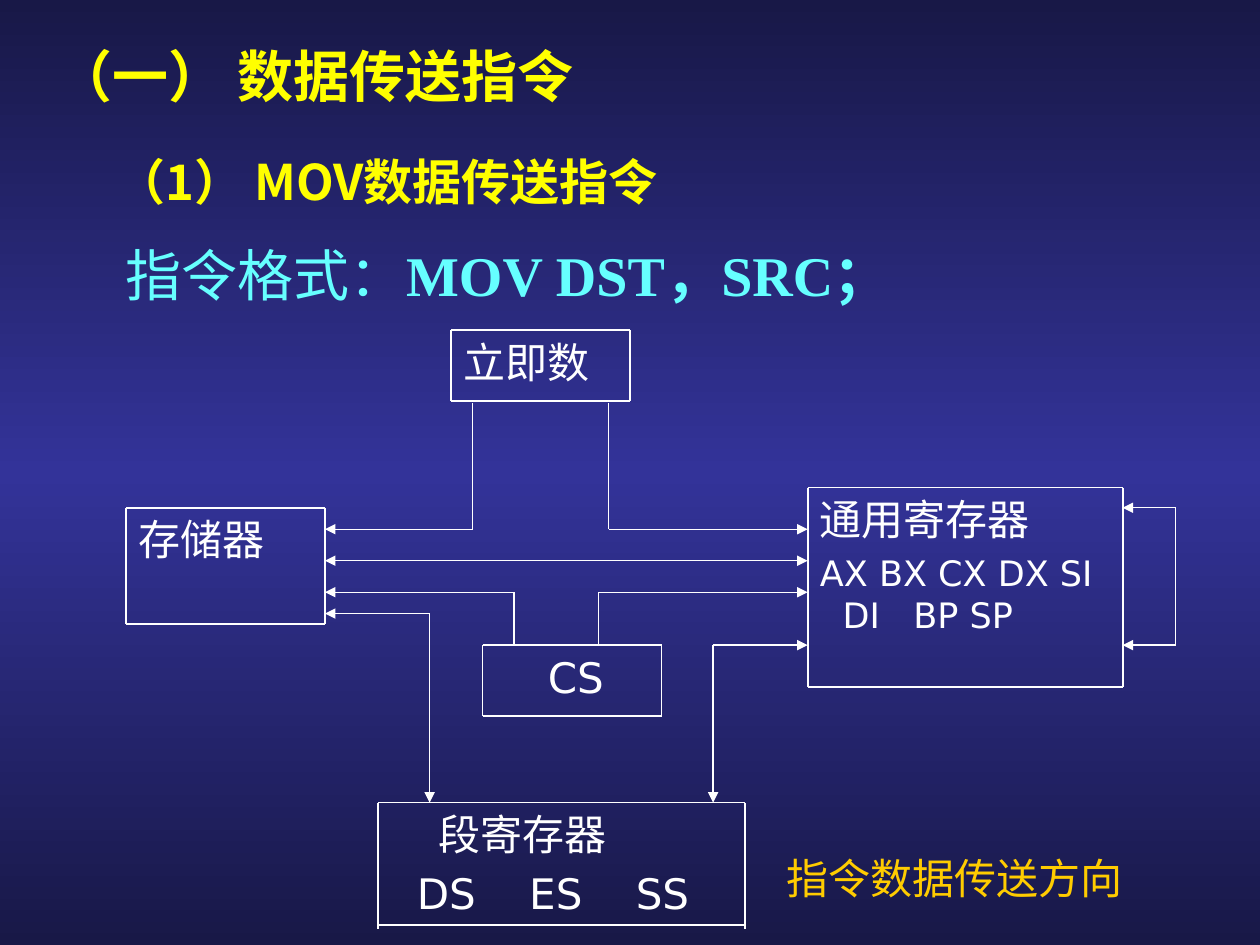
"""Build a slide on the data paths of the MOV instruction."""
from copy import deepcopy

from lxml import etree
from pptx import Presentation
from pptx.dml.color import RGBColor
from pptx.enum import shapes, text
from pptx.oxml import ns
from pptx.util import Inches, Pt

NAVY = RGBColor(0x18, 0x18, 0x47)
BLUE = RGBColor(0x33, 0x33, 0x99)
WHITE = RGBColor(255, 255, 255)
YELLOW = RGBColor(255, 255, 0)
CYAN = RGBColor(0x66, 255, 255)
GOLD = RGBColor(255, 0xCC, 0)

WIDE, HIGH = 10, 7.5
SANS, CJK, SERIF = "DejaVu Sans", "Noto Sans CJK JP", "Times New Roman"

HEAD = dict(name=CJK, size=Pt(32), bold=True, color=YELLOW)
SUB = {**HEAD, "size": Pt(28)}
FORM = dict(name=CJK, size=Pt(32), bold=False, color=CYAN)
CODE = {**FORM, "name": SERIF, "bold": True}
BODY = dict(name=SANS, size=Pt(24), bold=False, color=WHITE)
SMALL = {**BODY, "size": Pt(20)}
NOTE = {**BODY, "name": "Lato", "color": GOLD}

# place, runs
LINES = [
    ((0.35, 0.28, 8.25, 0.63), [("（一） 数据传送指令", HEAD)]),
    ((0.83, 1.15, 8.25, 0.57), [("（1） MOV数据传送指令", SUB)]),
    ((0.9, 1.86, 8.74, 0.63), [("指令格式：", FORM), ("MOV DST，SRC；", CODE)]),
]
TITLE = ((6.14, 6.44, 3.27, 0.78), [("指令数据传送方向", NOTE)])

MEM, REG, SEG = 2.58, 6.41, 6.37
# place, overhang of the sides, paragraphs of
# (runs of text and letter gap, format, left margin, first indent)
BOXES = [
    ((3.58, 2.62, 1.42, 0.56), 0, [([("立即数", 0)], BODY, 0, 0)]),
    ((1, 4.03, 1.58, 0.92), 0, [([("存储器", 0)], BODY, 0, 0)]),
    ((REG, 3.87, 2.5, 1.58), 0, [
        ([("通用寄存器", 0)], BODY, 0, 0),
        ([("AX BX CX DX SI\vDI", 0), (" ", 12.7), ("BP SP", 0)],
         SMALL, 0.18, -0.18)]),
    ((3, SEG, 2.91, 0.97), 0.03, [
        ([("段寄存器", 0)], BODY, 0.38, 0),
        ([("DS", 0), (" ", 22.9), ("ES", 0), (" ", 22.9), ("SS", 0)],
         BODY, 0.21, 0)]),
    ((3.83, 5.12, 1.42, 0.56), 0, [([("CS", 0)], BODY, 0.42, 0)]),
]

# points, head at start, head at end
ROUTES = [
    ([(3.75, 3.2), (3.75, 4.2), (MEM, 4.2)], False, True),
    ([(4.83, 3.2), (4.83, 4.2), (REG, 4.2)], False, True),
    ([(MEM, 4.45), (4.83, 4.45), (REG, 4.45)], True, True),
    ([(4.08, 5.12), (4.08, 4.7), (MEM, 4.7)], False, True),
    ([(4.75, 5.12), (4.75, 4.7), (REG, 4.7)], False, True),
    ([(MEM, 4.87), (3.41, 4.87), (3.41, SEG)], True, True),
    ([(REG, 5.12), (5.66, 5.12), (5.66, SEG)], True, True),
    ([(8.91, 4.03), (9.33, 4.03), (9.33, 5.12), (8.91, 5.12)], True, True),
]


def inch(place):
    return [Inches(n) for n in place]


def add(parent, tag, **attrs):
    return etree.SubElement(parent, ns.qn(tag), attrs)


def write(para, words, form, gap=0):
    for i, part in enumerate(words.split("\v")):
        if i:
            para.add_line_break()
        run = para.add_run()
        run.text = part
        run.font.color.rgb = form["color"]
        for key in ("name", "size", "bold"):
            setattr(run.font, key, form[key])
        props = run._r.get_or_add_rPr()
        add(props, "a:ea", typeface=CJK if form is CODE else form["name"])
        if gap:
            props.set("spc", str(round(gap * 100)))


def setup(frame, anchor):
    rules = dict(word_wrap=True, auto_size=text.MSO_AUTO_SIZE.NONE,
                 vertical_anchor=anchor)
    for key, val in rules.items():
        setattr(frame, key, val)
    frame.paragraphs[0].alignment = text.PP_ALIGN.LEFT
    return frame


def draw_line(slide, a, b, width):
    link = slide.shapes.add_connector(
        shapes.MSO_CONNECTOR.STRAIGHT, *inch(a + b))
    link.line.color.rgb = WHITE
    link.line.width = Pt(width)
    add(link._element.spPr, "a:effectLst")
    return link.line._get_or_add_ln()


def draw_box(slide, place, extra, paras):
    x, y, wide, high = place
    box = slide.shapes.add_textbox(*inch(place))
    frame = setup(box.text_frame, text.MSO_ANCHOR.TOP)
    for i, (runs, form, left, first) in enumerate(paras):
        para = frame.add_paragraph() if i else frame.paragraphs[0]
        para.alignment = text.PP_ALIGN.LEFT
        if i:
            para.space_before = Pt(0.2 * form["size"].pt)
        props = para._p.get_or_add_pPr()
        props.set("marL", str(Inches(left)))
        props.set("indent", str(Inches(first)))
        for words, gap in runs:
            write(para, words, form, gap)
    for row in (y, y + high):
        draw_line(slide, (x, row), (x + wide, row), 1)
    for col in (x, x + wide):
        draw_line(slide, (col, y), (col, y + high + extra), 1)


def draw_route(slide, points, start, end):
    last = len(points) - 2
    for i, (a, b) in enumerate(zip(points, points[1:])):
        stroke = draw_line(slide, a, b, 0.75)
        if start and i == 0:
            add(stroke, "a:headEnd", type="triangle")
        if end and i == last:
            add(stroke, "a:tailEnd", type="triangle")


def paint(slide):
    fill = slide.background.fill
    fill.gradient()
    fill.gradient_angle = 90
    first = fill.gradient_stops[0]._gs
    first.addnext(deepcopy(first))
    for stop, pos, color in zip(fill.gradient_stops, (0, 0.5, 1),
                                (NAVY, BLUE, NAVY)):
        stop.position = pos
        stop.color.rgb = color


def main():
    deck = Presentation()
    deck.slide_width, deck.slide_height = inch((WIDE, HIGH))
    slide = deck.slides.add_slide(deck.slide_layouts[5])
    paint(slide)
    for box in BOXES:
        draw_box(slide, *box)
    for route in ROUTES:
        draw_route(slide, *route)
    title = slide.shapes.title
    for key, val in zip(("left", "top", "width", "height"), inch(TITLE[0])):
        setattr(title, key, val)
    frames = [(setup(title.text_frame, text.MSO_ANCHOR.BOTTOM), TITLE[1])]
    for place, runs in LINES:
        box = slide.shapes.add_textbox(*inch(place))
        frames.append((setup(box.text_frame, text.MSO_ANCHOR.TOP), runs))
    for frame, runs in frames:
        for words, form in runs:
            write(frame.paragraphs[0], words, form)
    deck.save("out.pptx")


if __name__ == "__main__":
    main()
